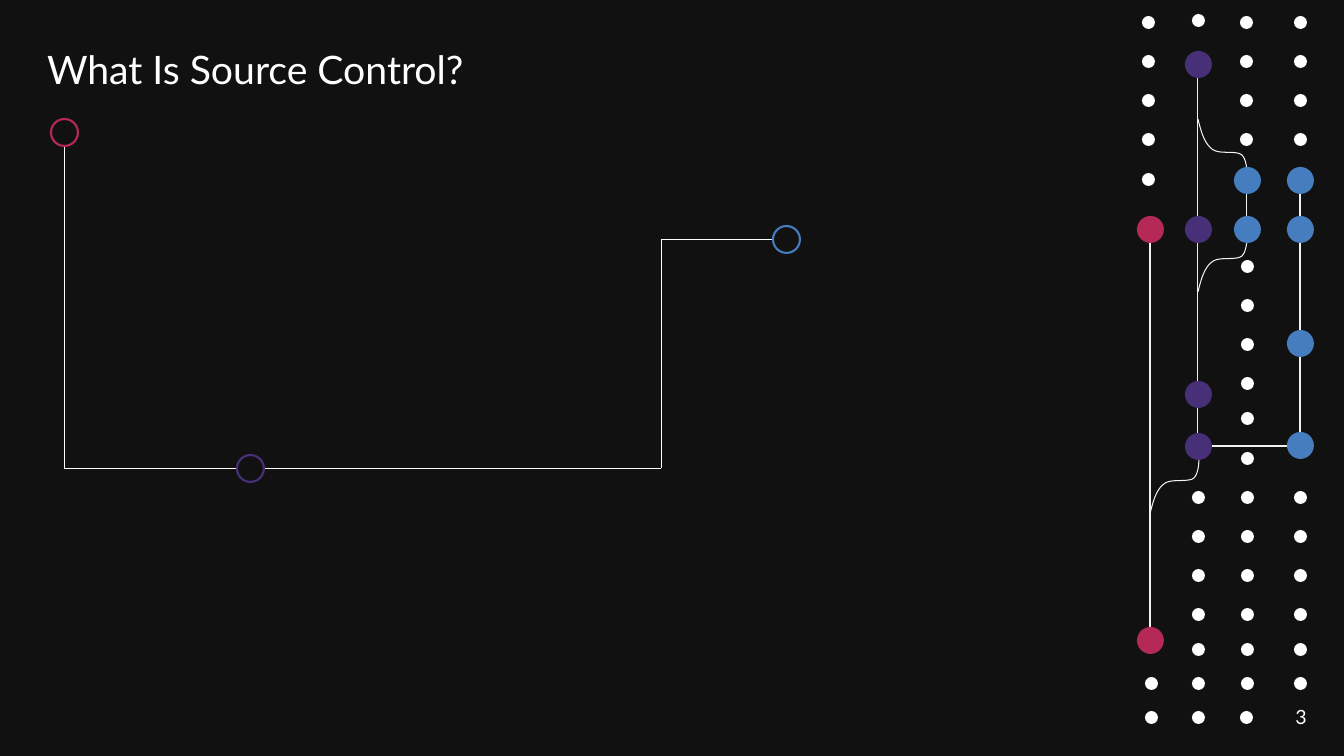
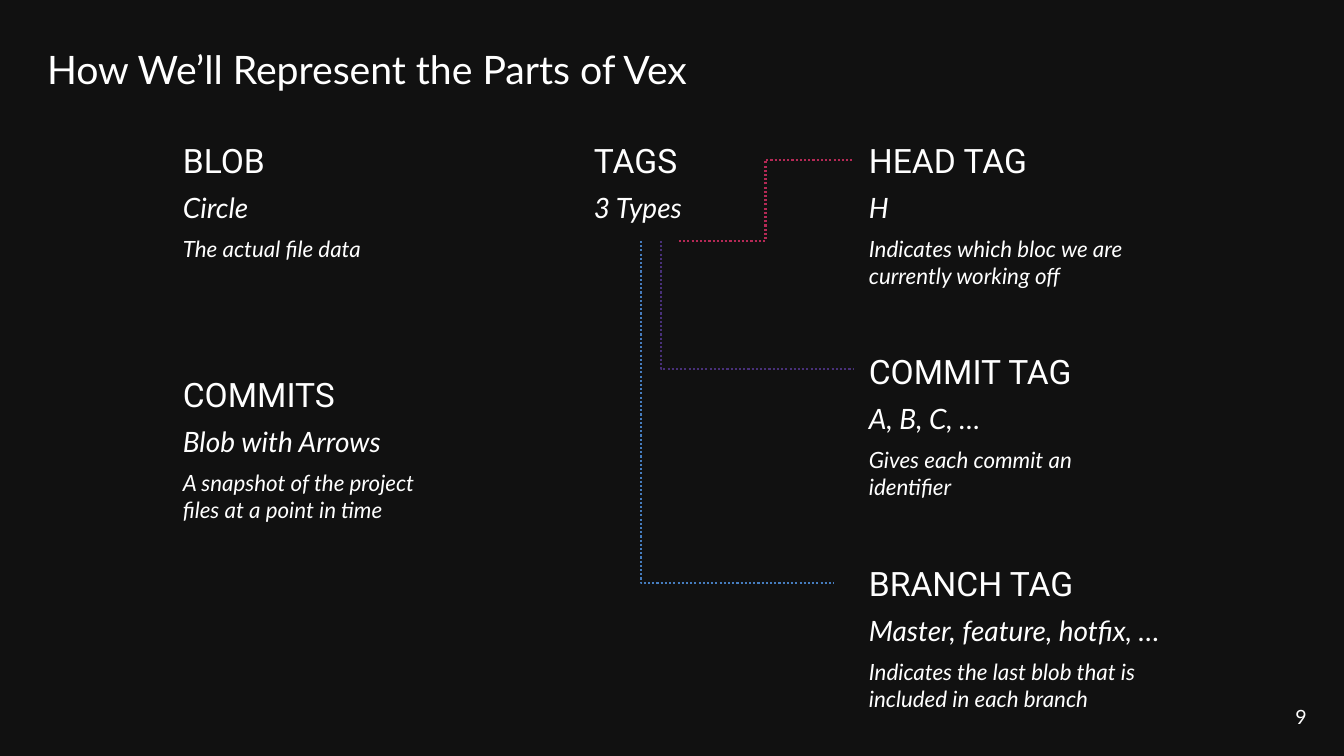
import pptx
import pptx.dml.color
import pptx.enum.dml
import pptx.enum.shapes
import pptx.enum.text
import pptx.oxml
import pptx.oxml.ns
import pptx.util
from lxml import etree

PX = 9072  # EMU in one px, 100.8 px to the inch
COLORS = {"night": "111111", "white": "FFFFFF", "track": "F2F2F2",
          "red": "B52956", "purple": "483079", "blue": "467DBF"}
RGB = {name: pptx.dml.color.RGBColor.from_string(value) for name, value in COLORS.items()}
STRAIGHT = pptx.enum.shapes.MSO_CONNECTOR.STRAIGHT
ELBOW = pptx.enum.shapes.MSO_CONNECTOR.ELBOW
LEFT = pptx.enum.text.PP_ALIGN.LEFT
CENTER = pptx.enum.text.PP_ALIGN.CENTER


def write_text(shape, box, text, size, font="Lato", italic=False, align=LEFT):
    """Place a text shape at box (left, top, width, height) and fill it."""
    shape.left, shape.top, shape.width, shape.height = [n * PX for n in box]
    frame = shape.text_frame
    frame.text = text
    frame.word_wrap = True
    frame.auto_size = pptx.enum.text.MSO_AUTO_SIZE.NONE
    frame.vertical_anchor = pptx.enum.text.MSO_ANCHOR.TOP
    paragraph = frame.paragraphs[0]
    paragraph.alignment = align
    paragraph.font.name = font
    paragraph.font.size = pptx.util.Pt(size)
    paragraph.font.italic = italic
    paragraph.font.color.rgb = RGB["white"]


def add_line(slide, kind, ends, color, weight):
    line = slide.shapes.add_connector(kind, *[n * PX for n in ends])
    line.line.color.rgb = RGB[color]
    line.line.width = pptx.util.Pt(weight)
    etree.SubElement(line.element.spPr, pptx.oxml.ns.qn("a:effectLst"))
    return line


prs = pptx.Presentation()
prs.slide_width, prs.slide_height = 1344 * PX, 756 * PX
backdrop = prs.slide_master.background.fill
backdrop.solid()
backdrop.fore_color.rgb = RGB["night"]

slides = []
for heading, number in [("What Is Source Control?", "3"),
                        ("How We’ll Represent the Parts of Vex", "9")]:
    slide = prs.slides.add_slide(prs.slide_layouts[5])
    write_text(slide.shapes.title, (37, 40, 800, 58), heading, 28)
    page_number = slide.shapes.add_textbox(0, 0, 0, 0)
    write_text(page_number, (1282, 700, 38, 34), number, 14, align=CENTER)
    slides.append(slide)
source_control, vocabulary = slides

# Slide 1: commit graph on the right, timeline on the left
TRUNK, DEVELOP, FEATURE, HOTFIX = 1150, 1198, 1247, 1300

for ends in [(DEVELOP, 446, HOTFIX, 446), (TRUNK, 640, TRUNK, 229),
             (DEVELOP, 452, DEVELOP, 64), (FEATURE, 229, FEATURE, 180),
             (HOTFIX, 445, HOTFIX, 180)]:
    add_line(source_control, STRAIGHT, ends, "track", 0.75)

for ends in [(64, 146, 64, 468), (64, 468, 236, 468), (264, 468, 661, 468),
             (661, 468, 661, 239), (661, 239, 773, 239)]:
    add_line(source_control, STRAIGHT, ends, "white", 0.5)

# One S-bend of three cubic curves, sampled in steps
bends = [((0, 0), (3, 12), (6, 24), (14, 30)),
         ((14, 30), (21, 36), (38, 31), (44, 36)),
         ((44, 36), (50, 42), (49, 58), (49, 62))]
STEPS = 12
branch_curve = []
for curve in bends:
    for step in range(1, STEPS + 1):
        t = step / STEPS
        weights = ((1 - t) ** 3, 3 * t * (1 - t) ** 2, 3 * t * t * (1 - t), t ** 3)
        branch_curve.append([sum(w * point[axis] for w, point in zip(weights, curve))
                             for axis in (0, 1)])

for x, y, direction in [(TRUNK, 514, -1), (DEVELOP, 292, -1), (DEVELOP, 119, 1)]:
    builder = source_control.shapes.build_freeform(x * PX, y * PX)
    builder.add_line_segments([((x + dx) * PX, (y + direction * dy) * PX)
                               for dx, dy in branch_curve], close=False)
    branch = builder.convert_to_shape()
    branch.shadow.inherit = False
    branch.fill.background()
    branch.line.color.rgb = RGB["track"]
    branch.line.width = pptx.util.Pt(0.75)

top_rows = [22, 61, 100, 139]
middle_rows = [266, 305, 344, 383, 418, 458]
lower_rows = [497, 536, 575, 614, 649, 683]
DOT, NODE = 13, 27
circles = []  # x, y, diameter, color, filled
for x, rows in [(1148, top_rows + [179]), (1151, [683, 717]),
                (DEVELOP, [20] + lower_rows + [717]),
                (1246, top_rows + [717]), (FEATURE, middle_rows + lower_rows),
                (HOTFIX, top_rows + lower_rows)]:
    circles += [(x, y, DOT, "white", True) for y in rows]
for x, rows, color in [(TRUNK, [229, 640], "red"),
                       (DEVELOP, [64, 229, 394, 446], "purple"),
                       (FEATURE, [180, 229], "blue"),
                       (HOTFIX, [180, 229, 343, 445], "blue")]:
    circles += [(x, y, NODE, color, True) for y in rows]
circles += [(64, 132, NODE, "red", False), (250, 468, NODE, "purple", False),
            (786, 239, NODE, "blue", False)]

for x, y, size, color, filled in circles:
    circle = source_control.shapes.add_shape(
        pptx.enum.shapes.MSO_SHAPE.OVAL, (x - size // 2) * PX, (y - size // 2) * PX,
        size * PX, size * PX)
    circle.shadow.inherit = False
    if filled:
        circle.fill.solid()
        circle.fill.fore_color.rgb = RGB[color]
        circle.line.fill.background()
    else:
        circle.fill.background()
        circle.line.color.rgb = RGB[color]
        circle.line.width = pptx.util.Pt(1.5)

# Slide 2: the vocabulary and the tag types
parts = [  # left, top, width, name, symbol, meaning
    (173, 135, 285, "BLOB", "Circle", "The actual file data"),
    (173, 369, 285, "COMMITS", "Blob with Arrows",
     "A snapshot of the project files at a point in time"),
    (584, 135, 139, "TAGS", "3 Types", ""),
    (859, 135, 306, "HEAD TAG", "H", "Indicates which bloc we are currently working off"),
    (859, 346, 285, "COMMIT TAG", "A, B, C, …", "Gives each commit an identifier"),
    (859, 558, 344, "BRANCH TAG", "Master, feature, hotfix, …",
     "Indicates the last blob that is included in each branch"),
]
row_styles = [(0, 50, 24, "Roboto", False), (51, 44, 20, "Lato", True),
              (95, 64, 16, "Lato", True)]
for left, top, width, *texts in parts:
    for text, (offset, height, size, font, italic) in zip(texts, row_styles):
        if text:
            write_text(vocabulary.shapes.add_textbox(0, 0, 0, 0),
                       (left, top + offset, width, height), text, size, font, italic)

for ends, color, bend in [((641, 241, 834, 583), "blue", 0),
                          ((661, 241, 853, 369), "purple", 0),
                          ((679, 241, 852, 160), "red", 50000)]:
    link = add_line(vocabulary, ELBOW, ends, color, 1.5)
    link.line.dash_style = pptx.enum.dml.MSO_LINE.ROUND_DOT
    adjustments = link.element.spPr.find(".//" + pptx.oxml.ns.qn("a:avLst"))
    etree.SubElement(adjustments, pptx.oxml.ns.qn("a:gd"), name="adj1", fmla=f"val {bend}")

prs.save("out.pptx")
